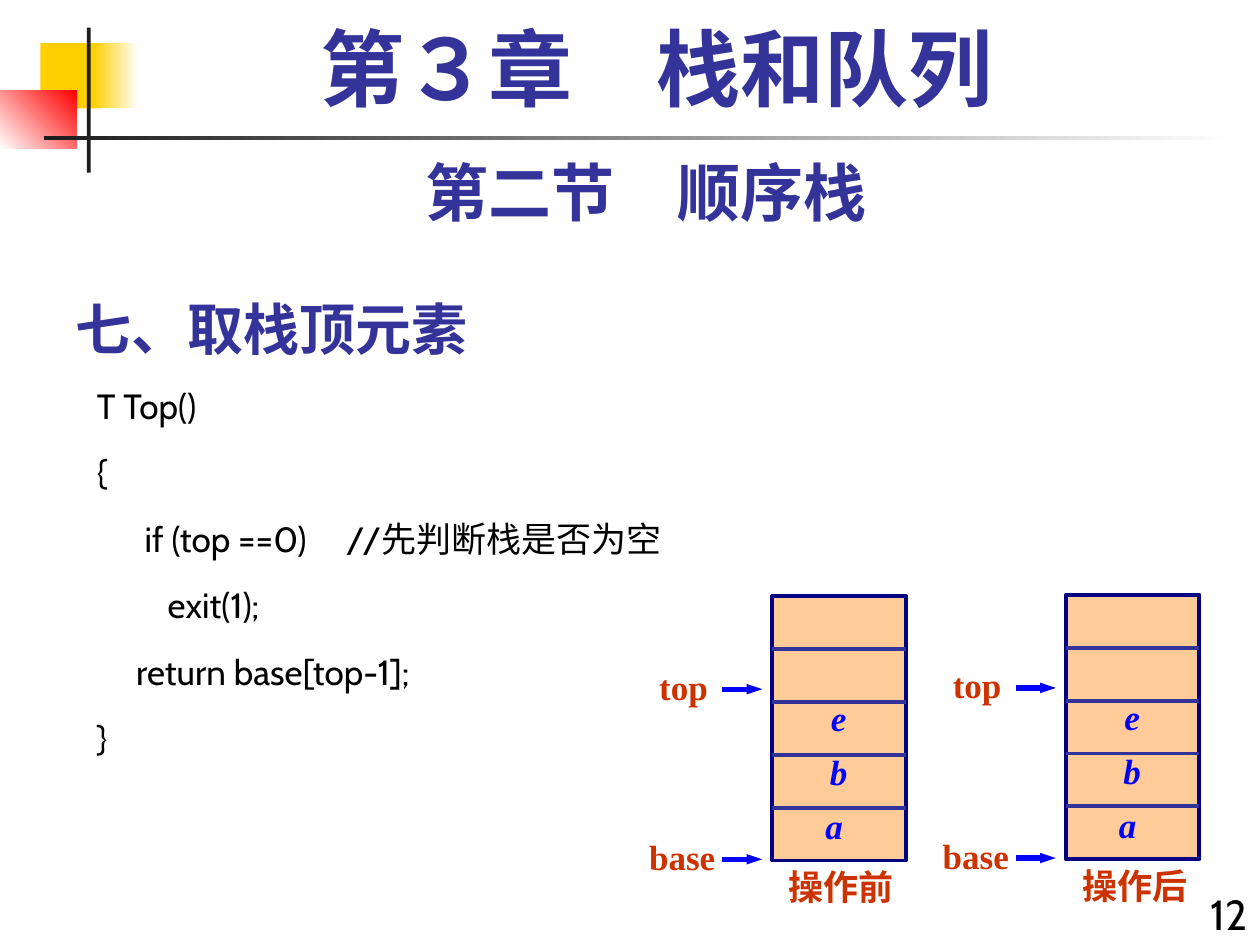
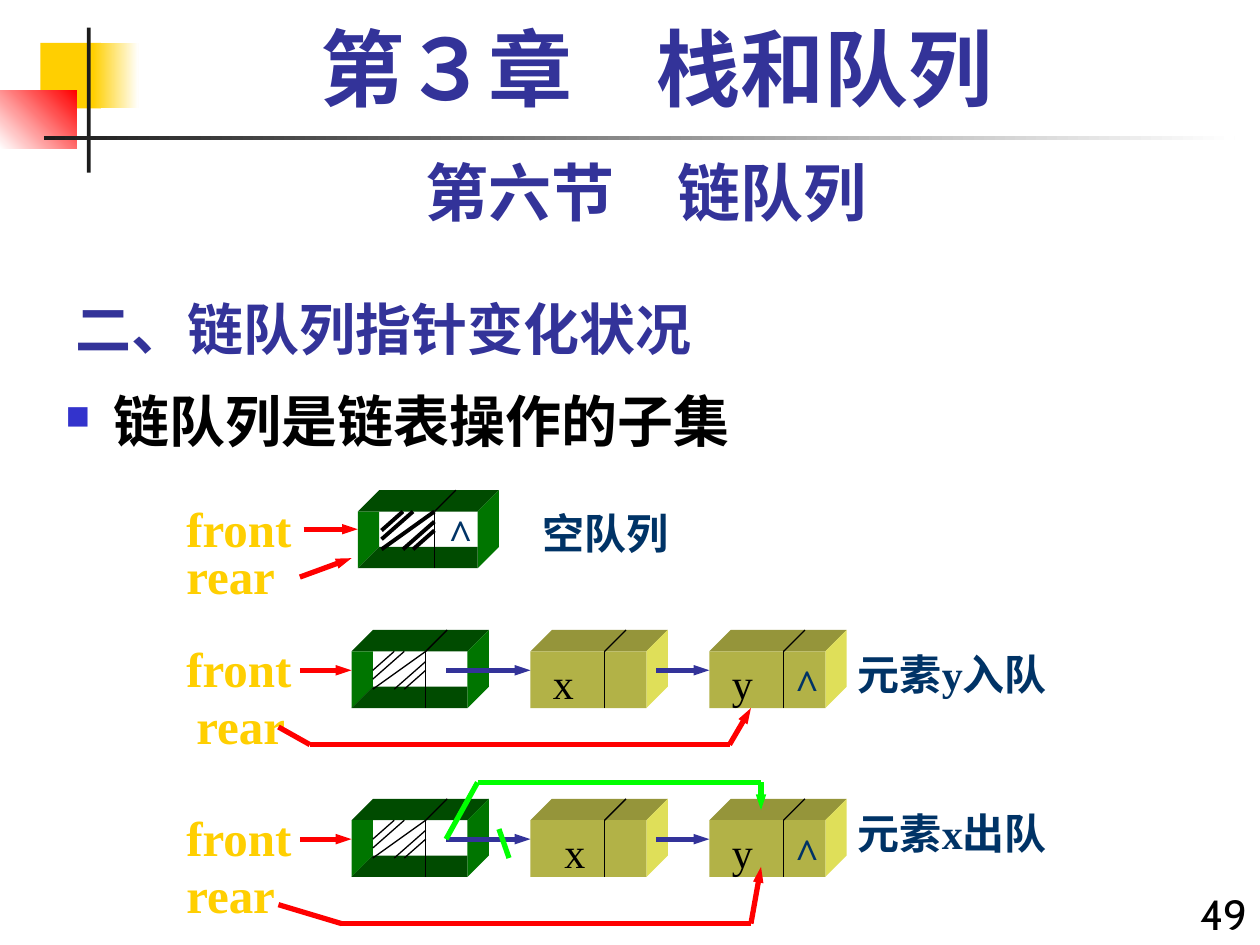
"""Build two lecture slides on stacks and linked queues."""
from pptx import Presentation
from pptx.dml.color import RGBColor as Rgb
from pptx.enum.shapes import MSO_CONNECTOR as Conn, MSO_SHAPE as Form
from pptx.enum.text import MSO_ANCHOR as Anchor, PP_ALIGN as Align
from pptx.oxml.ns import qn
from pptx.util import Inches, Pt
from lxml.etree import SubElement

NAVY = Rgb(0x33, 0x33, 0x99)
BLACK = Rgb(0, 0, 0)
WHITE = Rgb(255, 255, 255)
INK = Rgb(0x1C, 0x1C, 0x1C)
GOLD = Rgb(0xFF, 0xCF, 0x01)
RED = Rgb(255, 0, 0)
BLUE = Rgb(0, 0, 255)
LIME = Rgb(0, 255, 0)
RUST = Rgb(0xCC, 0x33, 0)
PEACH = Rgb(0xFF, 0xCC, 0x99)
EDGE = Rgb(0, 0, 0x80)
TEAL = Rgb(0, 0x33, 0x66)
PINE = Rgb(0, 0x4B, 0)
LEAF = Rgb(0, 0x75, 0)
OLIVE = Rgb(0xB2, 0xB2, 0x47)
MOSS = Rgb(0x95, 0x95, 0x3A)
LEMON = Rgb(0xDF, 0xDF, 0x59)

CABIN, NOTO, TIMES = "Cabin", "Noto Sans CJK SC", "Times New Roman"

HEAD = dict(name=TIMES, size=Pt(48), bold=True, color=NAVY)
PART = dict(name=CABIN, size=Pt(36), bold=True, color=NAVY)
TOPIC = dict(name=NOTO, size=Pt(32), bold=True, color=NAVY)
POINT = dict(TOPIC, color=BLACK)
PAGE = dict(name=CABIN, size=Pt(24), color=BLACK)
CODE = dict(PAGE, size=Pt(20))
LABEL = dict(name=TIMES, size=Pt(20), bold=True, color=RUST)
NOTE = dict(LABEL, name=CABIN)
ITEM = dict(LABEL, color=BLUE, italic=True)
NAME = dict(name=TIMES, size=Pt(28), bold=True, color=GOLD)
DATA = dict(name=TIMES, size=Pt(24), color=BLACK)
STATE = dict(DATA, bold=True, color=TEAL)

CHAPTER = "第３章　栈和队列"
TEXTS = [
    ("第二节　顺序栈", "七、取栈顶元素", "12"),
    ("第六节　链队列", "二、链队列指针变化状况", "49"),
]
LINES = [
    "T Top()",
    "{",
    "\tif (top ==0)     //先判断栈是否为空",
    "         exit(1);",
    "     return base[top-1];",
    "}",
]
BULLET = "链队列是链表操作的子集"
STACKS = [(6.13, 4.73, "操作前"), (8.46, 4.72, "操作后")]
ITEMS = ["e", "b", "a "]
ROW = 0.42

DEPTH, TALL = 0.17, 0.45
HATCH = [
    (-0.17, 0, -0.42, 0.22),
    (0, 0.08, -0.25, 0.3),
    (0, 0, -0.42, 0.3),
    (0, 0.15, -0.17, 0.3),
    (-0.25, 0, -0.42, 0.15),
]
QUEUES = [
    dict(y=5.17, rear=(1.46, 5.47), x=4.29, state="元素y入队", note=5.1,
         tail=[(2.21, 5.77), (2.46, 5.91), (5.79, 5.91), (5.96, 5.62)]),
    dict(y=6.51, rear=(1.38, 6.81), x=4.38, state="元素x出队", note=6.36,
         tail=[(2.21, 7.18), (2.71, 7.33), (5.96, 7.33), (6.04, 6.88)]),
]
BYPASS = [(3.54, 6.66), (3.79, 6.21), (6.04, 6.21), (6.04, 6.43)]
CUT = [(3.96, 6.58), (4.04, 6.81)]


def text(slide, box, lines, look, align=Align.LEFT, wrap=True, inset=None, **form):
    """Add a text box; space between paragraphs comes from the gap value."""
    gap = form.pop("gap", None)
    frame = slide.shapes.add_textbox(*map(Inches, box)).text_frame
    frame.word_wrap = wrap
    if inset is not None:
        for side in ("left", "right", "top", "bottom"):
            setattr(frame, "margin_" + side, Inches(inset))
    lines = [lines] if isinstance(lines, str) else lines
    for i, line in enumerate(lines):
        para = frame.paragraphs[0] if i == 0 else frame.add_paragraph()
        para.alignment = align
        if gap and i:
            para.space_before = gap
        for key, value in form.items():
            setattr(para, key, value)
        run = para.add_run()
        run.text = line
        for key, value in look.items():
            if key == "color":
                run.font.color.rgb = value
            else:
                setattr(run.font, key, value)
        SubElement(run.font._element, qn("a:ea")).set("typeface", NOTO)
    return frame


def hang(frame):
    """Give each paragraph a hanging indent."""
    for para in frame.paragraphs:
        props = para._p.get_or_add_pPr()
        props.set("marL", str(Inches(0.38)))
        props.set("indent", str(-Inches(0.38)))


def rect(slide, box, fill, fade=None, angle=0, edge=None):
    """Add a plain or faded rectangle."""
    shape = slide.shapes.add_shape(Form.RECTANGLE, *map(Inches, box))
    shape.shadow.inherit = False
    if fade is not None:
        shape.fill.gradient()
        shape.fill.gradient_angle = angle
        for stop, color in zip(shape.fill.gradient_stops, (fill, fade)):
            stop.color.rgb = color
    else:
        shape.fill.solid()
        shape.fill.fore_color.rgb = fill
    if edge is not None:
        shape.line.color.rgb = edge
        shape.line.width = Pt(2.25)
    else:
        shape.line.fill.background()


def chain(slide, points, color, width=3, arrow=True):
    """Join the points with lines, the last one with an arrowhead."""
    for i, (start, end) in enumerate(zip(points, points[1:]), 2):
        link = slide.shapes.add_connector(Conn.STRAIGHT, *map(Inches, start + end))
        link.line.color.rgb = color
        link.line.width = Pt(width)
        if arrow and i == len(points):
            tip = SubElement(link.line._get_or_add_ln(), qn("a:tailEnd"))
            for key, value in dict(type="triangle", w="sm", len="med").items():
                tip.set(key, value)
        SubElement(link._element.spPr, qn("a:effectLst"))


def face(slide, points, color):
    """Add one filled side of a block."""
    points = [(Inches(x), Inches(y)) for x, y in points]
    build = slide.shapes.build_freeform(*points[0])
    build.add_line_segments(points[1:], close=True)
    shape = build.convert_to_shape()
    shape.shadow.inherit = False
    shape.fill.solid()
    shape.fill.fore_color.rgb = color
    shape.line.fill.background()


def node(slide, x, y, wide=0.92, head=False, pen=0.75):
    """Draw a block with two fields; a head block is hollow and hatched."""
    right, low, back = x + wide, y + TALL, x + DEPTH
    far, up, floor = right + DEPTH, y - DEPTH, low - DEPTH
    face(slide, [(x, y), (back, up), (far, up), (right, y)], PINE if head else MOSS)
    face(slide, [(right, y), (far, up), (far, floor), (right, low)], LEAF if head else LEMON)
    if head:
        face(slide, [(x, y), (back, y), (back, floor), (x, low)], LEAF)
        face(slide, [(x, low), (back, floor), (right, floor), (right, low)], PINE)
    else:
        rect(slide, (x, y, wide, TALL), OLIVE)
    mid = x + wide * 0.64
    chain(slide, [(mid, low), (mid, y), (mid + DEPTH, up)], BLACK, 0.75, False)
    if head:
        for x1, y1, x2, y2 in HATCH:
            chain(slide, [(mid + x1, y + y1), (mid + x2, y + y2)], BLACK, pen, False)


def base(deck, part, topic, page):
    """Start a slide with the shared band and titles."""
    slide = deck.slides.add_slide(deck.slide_layouts[6])
    rect(slide, (0.32, 0.34, 0.48, 0.52), GOLD)
    rect(slide, (0.74, 0.34, 0.36, 0.52), GOLD, WHITE)
    rect(slide, (0, 0.72, 0.61, 0.46), WHITE, RED, 45)
    rect(slide, (0.69, 0.22, 0.03, 1.15), INK)
    rect(slide, (0.35, 1.08, 9.45, 0.03), INK, WHITE)
    text(slide, (0.5, 2.17, 6.25, 0.75), topic, TOPIC).vertical_anchor = Anchor.BOTTOM
    text(slide, (9.33, 7, 0.67, 0.5), page, PAGE, Align.RIGHT)
    text(slide, (0.5, 1.17, 9.25, 0.7), part, PART, Align.CENTER)
    text(slide, (0.67, 0.17, 9.08, 0.83), CHAPTER, HEAD, Align.CENTER, line_spacing=0.9)
    return slide


def stack(slide, x, y, note):
    """Draw a five-cell stack with its two pointers."""
    rect(slide, (x, y, 1.06, 5 * ROW), PEACH, edge=EDGE)
    for i in range(1, 5):
        chain(slide, [(x, y + i * ROW), (x + 1.06, y + i * ROW)], NAVY, 2.25, False)
    for word, left, wide, drop in (("top", 1, 0.59, 0.74), ("base", 1.08, 0.73, 2.09)):
        text(slide, (x - left, y + drop - 0.24, wide, 0.43), word, LABEL, Align.CENTER, False)
        chain(slide, [(x - 0.4, y + drop), (x - 0.08, y + drop)], BLUE)
    text(slide, (x + 0.25, y + 0.7, 0.55, 1.3), ITEMS, ITEM, Align.CENTER,
         inset=0, line_spacing=Pt(31))
    text(slide, (x - 0.08, y + 2.09, 1.25, 0.43), note, NOTE, Align.CENTER)


def queue(slide, y, rear, x, state, note, tail):
    """Draw a head block, two data blocks and their pointers."""
    node(slide, 2.79, y, head=True)
    for left in (4.21, 5.63):
        node(slide, left, y)
    text(slide, (1.38, y - 0.15, 1.05, 0.57), "front", NAME, wrap=False)
    text(slide, (*rear, 0.99, 0.57), "rear", NAME)
    for start, end, color in ((2.38, 2.79, RED), (3.54, 4.21, NAVY), (5.21, 5.63, NAVY)):
        chain(slide, [(start, y + 0.15), (end, y + 0.15)], color)
    for word, left, look in (("x", x, DATA), ("y", 5.71, DATA), ("^", 6.21, STATE)):
        text(slide, (left, y, 0.42, 0.5), word, look)
    chain(slide, tail, RED)
    text(slide, (6.71, note, 1.75, 0.5), state, STATE)


def bullet(slide):
    """Add the single square-bulleted point."""
    frame = text(slide, (0.42, 3.08, 9.58, 0.7), BULLET, POINT, line_spacing=0.9)
    hang(frame)
    props = frame.paragraphs[0]._p.pPr
    tint = SubElement(props, qn("a:buClr"))
    SubElement(tint, qn("a:srgbClr")).set("val", "3333CC")
    SubElement(props, qn("a:buSzPct")).set("val", "60000")
    SubElement(props, qn("a:buChar")).set("char", "■")


def main():
    """Build and save the deck."""
    deck = Presentation()
    deck.slide_width, deck.slide_height = Inches(10), Inches(7.5)

    slide = base(deck, *TEXTS[0])
    hang(text(slide, (0.67, 3, 9.04, 4.25), LINES, CODE, gap=Pt(14)))
    for spot in STACKS:
        stack(slide, *spot)

    slide = base(deck, *TEXTS[1])
    bullet(slide)
    for row in QUEUES:
        queue(slide, **row)
    chain(slide, BYPASS, LIME)
    chain(slide, CUT, LIME, arrow=False)
    node(slide, 2.84, 4.06, 0.95, True, 2.25)
    for word, top in (("front", 3.91), ("rear", 4.28)):
        text(slide, (1.38, top, 1.05, 0.57), word, NAME, wrap=False)
    chain(slide, [(2.41, 4.2), (2.84, 4.2)], RED)
    chain(slide, [(2.38, 4.58), (2.79, 4.43)], RED)
    text(slide, (4.21, 3.98, 1.25, 0.5), "空队列", STATE)
    text(slide, (3.46, 3.98, 0.42, 0.5), "^", STATE)
    deck.save("out.pptx")


if __name__ == "__main__":
    main()
